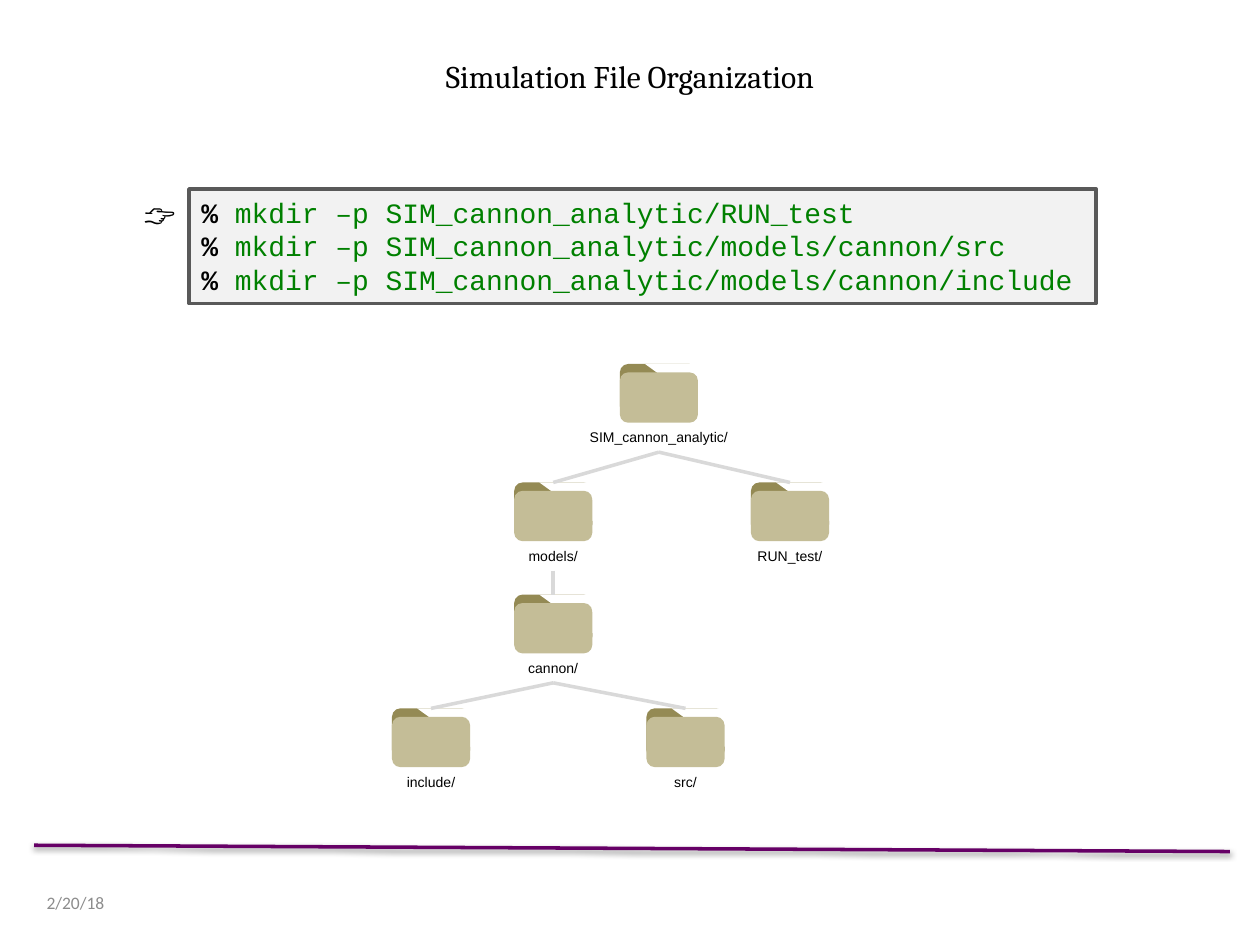
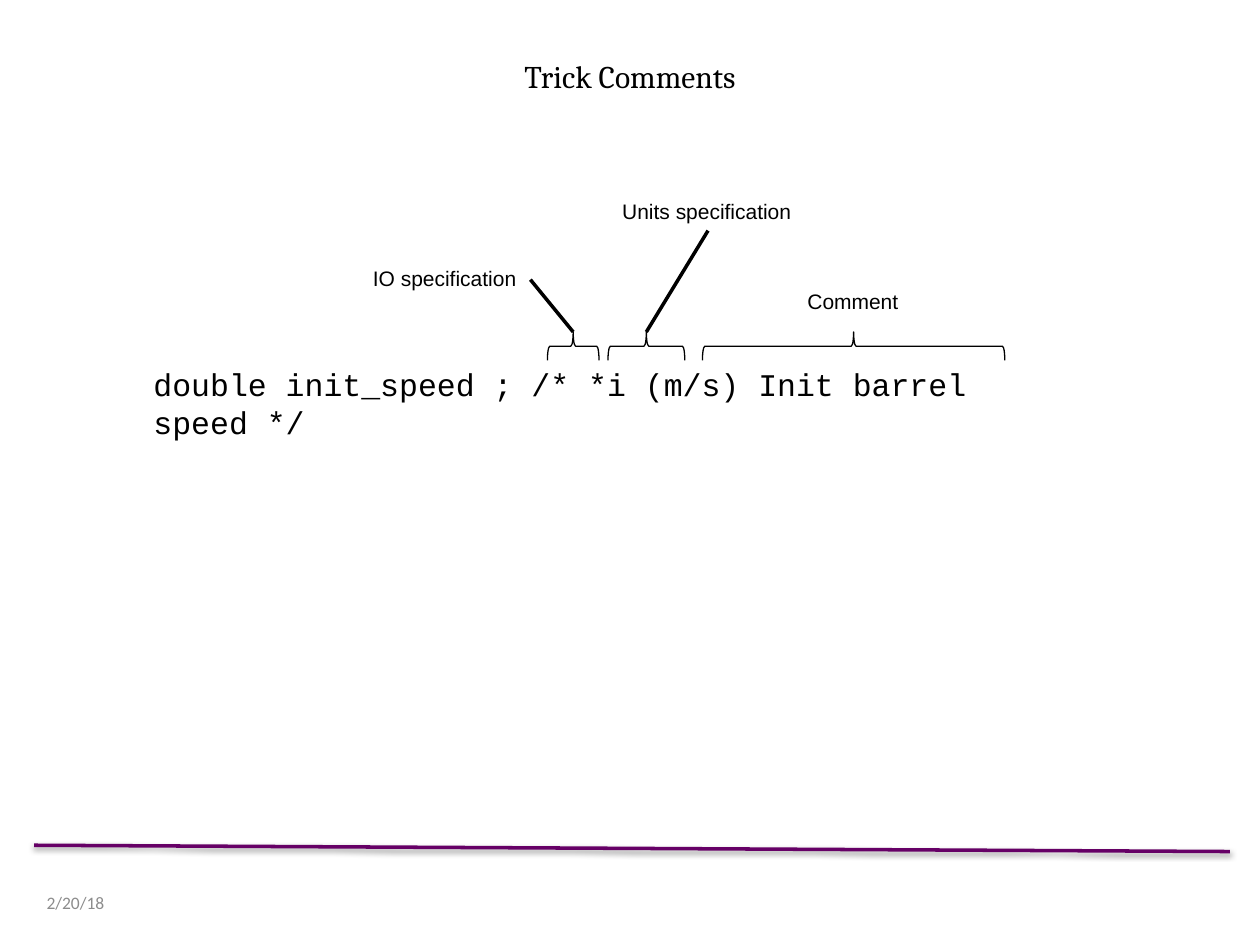
from dataclasses import dataclass

from lxml.etree import SubElement
from pptx import Presentation
from pptx.dml.color import RGBColor
from pptx.enum.shapes import MSO_CONNECTOR as Link, MSO_SHAPE as Shape
from pptx.enum.text import MSO_ANCHOR as Anchor, PP_ALIGN as Align
from pptx.oxml.ns import qn
from pptx.util import Pt


@dataclass(frozen=True)
class Theme:
    """Colours, fonts and type sizes of the deck."""
    ink: str = "000000"
    paper: str = "FFFFFF"
    rule: str = "660066"
    date: str = "8C8C8C"
    command: str = "008000"
    panel: str = "F2F2F2"
    panel_edge: str = "595959"
    folder_back: str = "948A54"
    folder_front: str = "C4BD97"
    branch: str = "D9D9D9"
    title_font: str = "Cambria"
    body_font: str = "Calibri"
    label_font: str = "Arial"
    code_font: str = "Courier New"
    title_size: float = 18
    code_size: float = 18
    command_size: float = 16
    note_size: float = 12
    date_size: float = 10
    folder_size: float = 8


@dataclass(frozen=True)
class Box:
    """A rectangle in points."""
    left: float
    top: float
    width: float
    height: float

    def inner(self, left, top, width, height):
        """Return a box placed relative to this one."""
        return Box(self.left + left, self.top + top, width, height)

    def lengths(self):
        """Return the four lengths for python-pptx."""
        return [Pt(n) for n in (self.left, self.top, self.width, self.height)]


THEME = Theme()
PAGE = Box(0, 0, 720, 540)
FOLDER_WIDTH, FOLDER_HEIGHT = 44.64, 28.8
LABEL_DROP, LABEL_HEIGHT, BRANCH_DROP = 33.6, 17.28, 50.4


def add_span(para, text, *, font, size, color=THEME.ink, bold=False):
    """Append one formatted run to a paragraph."""
    span = para.add_run()
    span.text = text
    span.font.name, span.font.size = font, Pt(size)
    span.font.bold = bold
    span.font.color.rgb = RGBColor.from_string(color)


def add_text(shapes, box, text, *, align=Align.LEFT, wrap=True, anchor=Anchor.TOP, **style):
    """Add a text box holding one paragraph."""
    frame = shapes.add_textbox(*box.lengths()).text_frame
    frame.word_wrap, frame.vertical_anchor = wrap, anchor
    para = frame.paragraphs[0]
    para.alignment = align
    add_span(para, text, **style)


def add_figure(shapes, kind, box, *, fill=None, line=None, width=0, rotation=0):
    """Add a flat preset shape."""
    figure = shapes.add_shape(kind, *box.lengths())
    figure.shadow.inherit = False
    figure.rotation = rotation
    if fill:
        figure.fill.solid()
        figure.fill.fore_color.rgb = RGBColor.from_string(fill)
    else:
        figure.fill.background()
    if line:
        figure.line.color.rgb = RGBColor.from_string(line)
        figure.line.width = Pt(width)
    else:
        figure.line.fill.background()
    return figure


def add_line(shapes, start, end, *, color, width):
    """Add a straight line and return its empty effect list."""
    line = shapes.add_connector(Link.STRAIGHT, *[Pt(n) for n in (*start, *end)])
    line.line.color.rgb = RGBColor.from_string(color)
    line.line.width = Pt(width)
    return SubElement(line._element.spPr, qn("a:effectLst"))


def add_footer(page, box):
    """Draw the shadowed rule and the date below it."""
    start, end = (box.left, box.top), (box.left + box.width, box.top + 3.6)
    effects = add_line(page.shapes, start, end, color=THEME.rule, width=2)
    shadow = SubElement(effects, qn("a:outerShdw"), blurRad="40000", dist="20000",
                        dir="5400000", rotWithShape="0")
    color = SubElement(shadow, qn("a:srgbClr"), val=THEME.ink)
    SubElement(color, qn("a:alpha"), val="38000")
    add_text(page.shapes, box.inner(0, 26, 168, 13), "2/20/18", anchor=Anchor.MIDDLE,
             font=THEME.body_font, size=THEME.date_size, color=THEME.date)


def add_page(deck, title):
    """Add a blank page with the shared title and footer."""
    page = deck.slides.add_slide(deck.slide_layouts[6])
    add_footer(page, Box(19.5, 483, 683.3, 43))
    add_text(page.shapes, PAGE.inner(0, 28.8, PAGE.width, 28.8), title, align=Align.CENTER,
             font=THEME.title_font, size=THEME.title_size)
    return page


def add_commands(page, box, commands):
    """Draw the command panel with a pointing hand on its left."""
    panel = add_figure(page.shapes, Shape.RECTANGLE, box, fill=THEME.panel,
                       line=THEME.panel_edge, width=2)
    frame = panel.text_frame
    frame.word_wrap, frame.vertical_anchor = True, Anchor.TOP
    style = {"font": THEME.code_font, "size": THEME.command_size}
    for index, command in enumerate(commands):
        para = frame.add_paragraph() if index else frame.paragraphs[0]
        para.alignment = Align.LEFT
        add_span(para, "% ", bold=True, **style)
        add_span(para, command, color=THEME.command, **style)
    add_text(page.shapes, box.inner(-33, 0, 33, 28.8), "👉",
             font=THEME.body_font, size=THEME.title_size)


def add_folder(shapes, box, name, label_width):
    """Draw a folder with its name centred below."""
    add_figure(shapes, Shape.ROUNDED_RECTANGLE, box, fill=THEME.folder_back)
    add_figure(shapes, Shape.RIGHT_TRIANGLE, box.inner(14.4, 0, 30.96, 22.32),
               fill=THEME.paper, rotation=180)
    add_figure(shapes, Shape.ROUNDED_RECTANGLE, box.inner(0, 4.8, box.width, box.height),
               fill=THEME.folder_front)
    label = box.inner((box.width - label_width) / 2, LABEL_DROP, label_width, LABEL_HEIGHT)
    add_text(shapes, label, name, align=Align.CENTER, wrap=False,
             font=THEME.label_font, size=THEME.folder_size)


def add_folder_tree(page, box, folders):
    """Draw the folders and join each one to its parent."""
    shapes = page.shapes.add_group_shape().shapes
    places = {}
    for name, _, left, top, label_width in folders:
        places[name] = box.inner(left, top, FOLDER_WIDTH, FOLDER_HEIGHT)
        add_folder(shapes, places[name], name, label_width)
    for name, parent, *_ in folders:
        if parent:
            upper, lower = places[parent], places[name]
            add_line(shapes, (upper.left + FOLDER_WIDTH / 2, upper.top + BRANCH_DROP),
                     (lower.left + FOLDER_WIDTH / 2, lower.top),
                     color=THEME.branch, width=2)


def add_brace(page, box):
    """Draw a brace that opens downward and fills the box."""
    upright = box.inner((box.width - box.height) / 2, (box.height - box.width) / 2,
                        box.height, box.width)
    add_figure(page.shapes, Shape.RIGHT_BRACE, upright, line=THEME.ink, rotation=270)


def add_annotated_code(page, box, code, notes):
    """Draw a code line with braces, leaders and notes above it."""
    add_text(page.shapes, box.inner(0.6, 95.2, box.width, 28.8), code,
             font=THEME.code_font, size=THEME.code_size)
    for text, (left, top, width), (brace_left, brace_width), leader in notes:
        add_text(page.shapes, box.inner(left, top, width, 21.6), text, wrap=False,
                 font=THEME.label_font, size=THEME.note_size)
        brace = box.inner(brace_left, 79.7, brace_width, 16.2)
        add_brace(page, brace)
        if leader:
            start = (box.left + leader[0], box.top + leader[1])
            tip = (brace.left + brace.width / 2, brace.top)
            add_line(page.shapes, start, tip, color=THEME.ink, width=0)


def build_file_page(deck):
    """Build the page on simulation folders."""
    page = add_page(deck, "Simulation File Organization")
    add_commands(page, Box(108, 108, 518.4, 65.5), [
        "mkdir –p SIM_cannon_analytic/RUN_test",
        "mkdir –p SIM_cannon_analytic/models/cannon/src",
        "mkdir –p SIM_cannon_analytic/models/cannon/include",
    ])
    add_folder_tree(page, Box(224, 208, 250, 248), [
        ("SIM_cannon_analytic/", None, 130.2, 0, 94.3),
        ("models/", "SIM_cannon_analytic/", 69.8, 67.7, 44),
        ("RUN_test/", "SIM_cannon_analytic/", 205.1, 67.7, 52.5),
        ("cannon/", "models/", 69.8, 131.8, 44),
        ("include/", "cannon/", 0, 196.8, 42.5),
        ("src/", "cannon/", 145.4, 196.8, 29),
    ])


def build_comment_page(deck):
    """Build the page on annotated comments."""
    page = add_page(deck, "Trick Comments")
    add_annotated_code(
        page, Box(80, 110, 534.2, 124),
        "double init_speed ; /* *i (m/s) Init barrel speed */", [
            ("Units specification", (268.5, 0, 112.3), (267.4, 43.9), (324.6, 21.8)),
            ("IO specification", (126, 38.3, 97.2), (232.8, 29.5), (223.1, 49.8)),
            ("Comment", (374.3, 51.3, 67), (321.4, 172.8), None),
        ])


def main():
    """Build and save the deck."""
    deck = Presentation()
    deck.slide_width, deck.slide_height = Pt(PAGE.width), Pt(PAGE.height)
    build_file_page(deck)
    build_comment_page(deck)
    deck.save("out.pptx")


if __name__ == "__main__":
    main()
